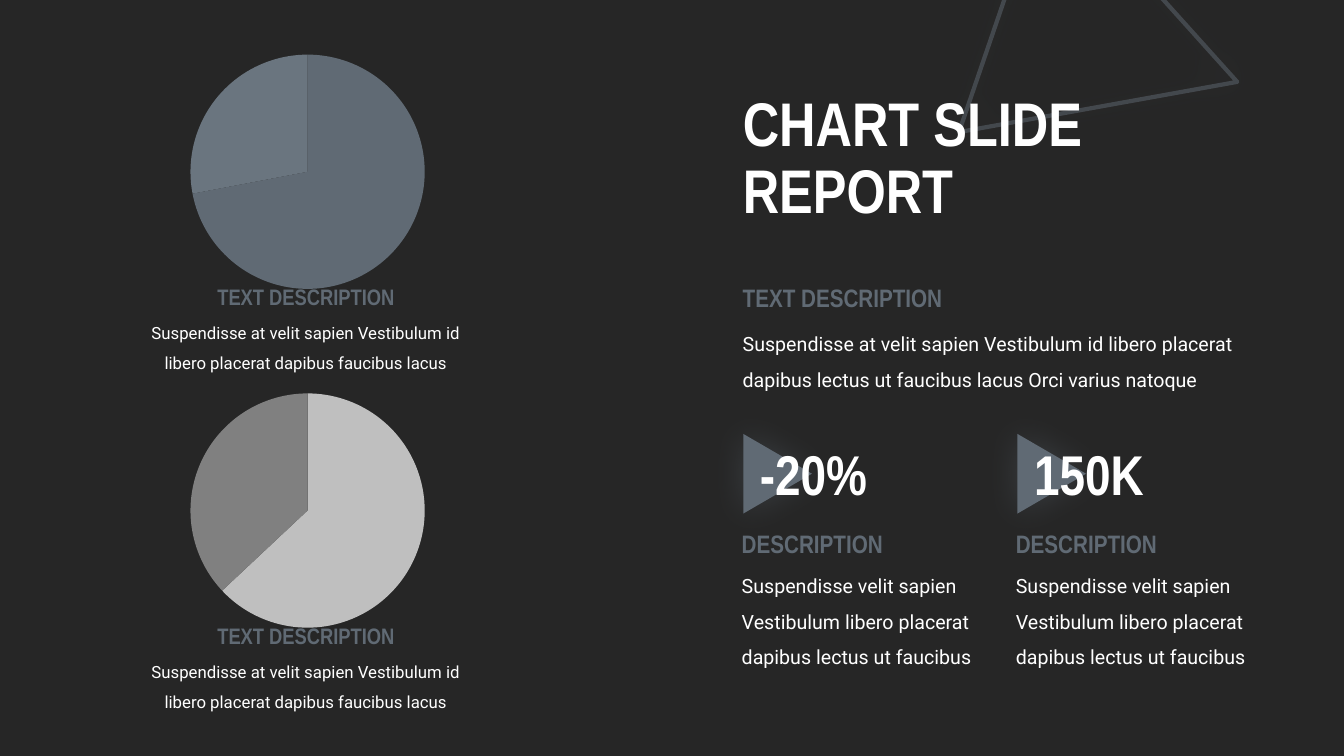
import pptx
import pptx.chart.data
import pptx.dml.color
import pptx.enum.chart
import pptx.enum.shapes
import pptx.enum.text
import pptx.oxml
import pptx.oxml.ns
import pptx.util

Pt = pptx.util.Pt
ALIGN = pptx.enum.text.PP_ALIGN
ANCHOR = pptx.enum.text.MSO_ANCHOR
SHAPE = pptx.enum.shapes.MSO_SHAPE

COLORS = {
    "dark": "262626",
    "white": "FFFFFF",
    "slate": "606A74",
    "slate_light": "6A757F",
    "silver": "BFBFBF",
    "gray": "808080",
}
HEAD, BODY = "Arial Narrow", "Roboto"


def rgb(name):
    return pptx.dml.color.RGBColor.from_string(COLORS[name])


def xml(text):
    return pptx.oxml.parse_xml(text.replace(">", f' {pptx.oxml.ns.nsdecls("a", "c")}>', 1))


def set_alpha(fill_format, percent, sp):
    """Make the colours found inside the given part of sp partly transparent."""
    for clr in sp.element.spPr.iterfind(f"{fill_format}//" + pptx.oxml.ns.qn("a:srgbClr")):
        clr.append(xml(f'<a:alpha val="{percent * 1000}"></a:alpha>'))


def write(tf, text, size=14, font=BODY, color="white", bold=False,
          align=ALIGN.LEFT, spacing=1.0, anchor=ANCHOR.TOP):
    tf.word_wrap = True
    tf.auto_size = pptx.enum.text.MSO_AUTO_SIZE.NONE
    tf.vertical_anchor = anchor
    p = tf.paragraphs[0]
    p.text = text
    p.alignment = align
    p.line_spacing = spacing
    p.space_before = Pt(0)
    for r in p.runs:
        r.font.size = Pt(size)
        r.font.name = font
        r.font.bold = bold
        r.font.color.rgb = rgb(color)


class Deck:
    def __init__(self):
        self.prs = pptx.Presentation()
        self.prs.slide_width, self.prs.slide_height = Pt(960), Pt(540)
        self.s = self.prs.slides.add_slide(self.prs.slide_layouts[5])
        self.s.background.fill.solid()
        self.s.background.fill.fore_color.rgb = rgb("dark")

    def title(self, text, x, y, w, h):
        sp = self.s.shapes.title
        sp.left, sp.top, sp.width, sp.height = Pt(x), Pt(y), Pt(w), Pt(h)
        write(sp.text_frame, text, size=44, font=HEAD, bold=True,
              spacing=0.9, anchor=ANCHOR.MIDDLE)
        sp.element.getparent().append(sp.element)  # bring to front

    def text(self, text, x, y, w, h, **fmt):
        sp = self.s.shapes.add_textbox(Pt(x), Pt(y), Pt(w), Pt(h))
        write(sp.text_frame, text, **fmt)

    def heading(self, text, x, y, w, h, size=18, color="slate", **fmt):
        self.text(text, x, y, w, h, size=size, font=HEAD, color=color, bold=True, **fmt)

    def panel(self, x, y, w, h):
        sp = self.s.shapes.add_shape(SHAPE.RECTANGLE, Pt(x), Pt(y), Pt(w), Pt(h))
        sp.shadow.inherit = False
        sp.fill.solid()
        sp.fill.fore_color.rgb = rgb("dark")
        set_alpha(pptx.oxml.ns.qn("a:solidFill"), 90, sp)
        sp.line.fill.background()

    def triangle(self, x, y, w, h, rotation, outline=False):
        """Add a glowing triangle, either filled or as a faint outline."""
        sp = self.s.shapes.add_shape(SHAPE.ISOSCELES_TRIANGLE, Pt(x), Pt(y), Pt(w), Pt(h))
        sp.rotation = rotation
        if outline:
            sp.fill.background()
            sp.line.width = Pt(3)
            sp.line.color.rgb = rgb("slate")
            set_alpha(pptx.oxml.ns.qn("a:ln"), 50, sp)
        else:
            sp.fill.solid()
            sp.fill.fore_color.rgb = rgb("slate")
            sp.line.fill.background()
        sp.shadow.inherit = False
        effects = sp.element.spPr.find(pptx.oxml.ns.qn("a:effectLst"))
        effects.append(xml(
            f'<a:outerShdw blurRad="{Pt(25)}" dist="0" dir="0" algn="ctr" rotWithShape="0">'
            f'<a:srgbClr val="{COLORS["slate"]}"><a:alpha val="35000"/></a:srgbClr>'
            '</a:outerShdw>'))

    def pie(self, values, colors, x, y, w, h):
        data = pptx.chart.data.CategoryChartData()
        data.categories = ["1", "2"]
        data.add_series("Series 1", values)
        chart = self.s.shapes.add_chart(pptx.enum.chart.XL_CHART_TYPE.PIE,
                                        Pt(x), Pt(y), Pt(w), Pt(h), data).chart
        chart.has_legend = chart.has_title = False
        chart.font.size = Pt(10)
        chart.font.name = BODY
        chart.font.color.rgb = rgb("white")
        plot = chart.plots[0]
        plot.vary_by_categories = False
        for i, color in enumerate(colors):
            fmt = plot.series[0].points[i].format
            fmt.fill.solid()
            fmt.fill.fore_color.rgb = rgb(color)
            fmt.line.fill.background()
        area = chart.element.find(".//" + pptx.oxml.ns.qn("c:plotArea"))
        for old in area.findall(pptx.oxml.ns.qn("c:layout")):
            area.remove(old)
        area.insert(0, xml(
            '<c:layout><c:manualLayout><c:layoutTarget val="inner"/>'
            '<c:xMode val="edge"/><c:yMode val="edge"/><c:x val="0.17"/><c:y val="0.05"/>'
            '<c:w val="0.67"/><c:h val="0.9"/></c:manualLayout></c:layout>'))


def main():
    d = Deck()
    d.panel(0, 0, 437, 540)
    d.triangle(702, -58.3, 196.6, 176.4, 108.9, outline=True)
    d.title("CHART SLIDE\vREPORT", 523.4, 57.6, 404.6, 113.8)

    pies = [([72, 28], ["slate", "slate_light"]), ([63, 37], ["silver", "gray"])]
    for i, (values, colors) in enumerate(pies):
        y = 29.5 + 242 * i
        d.pie(values, colors, 93.6, y, 249.8, 186.5)
        d.text("Suspendisse at velit sapien Vestibulum id libero placerat dapibus faucibus lacus",
               93.6, y + 190.1, 249.8, 48.2, size=12, align=ALIGN.CENTER, spacing=1.5)
        d.heading("TEXT DESCRIPTION", 130.3, y + 169.2, 176.4, 26.6,
                  size=16, align=ALIGN.CENTER)

    d.text("Suspendisse at velit sapien Vestibulum id libero placerat "
           "dapibus lectus ut faucibus lacus Orci varius natoque",
           523.4, 225.4, 369.4, 55.4, spacing=1.5)
    d.heading("TEXT DESCRIPTION", 523.4, 198, 176.4, 28.8)

    for i, figure in enumerate(["-20%", "150K"]):
        x = 522.7 + 195.8 * i
        d.triangle(x + 4.3, 313.9, 56.9, 49, 90)
        d.text("Suspendisse velit sapien Vestibulum libero placerat dapibus lectus ut faucibus",
               x, 398.2, 202.3, 80.6, spacing=1.5)
        d.heading("DESCRIPTION", x, 373.7, 176.4, 28.8)
        d.heading(figure, x + 13, 310.3, 128.9, 55.4, size=40, color="white")

    d.prs.save("out.pptx")


if __name__ == "__main__":
    main()
